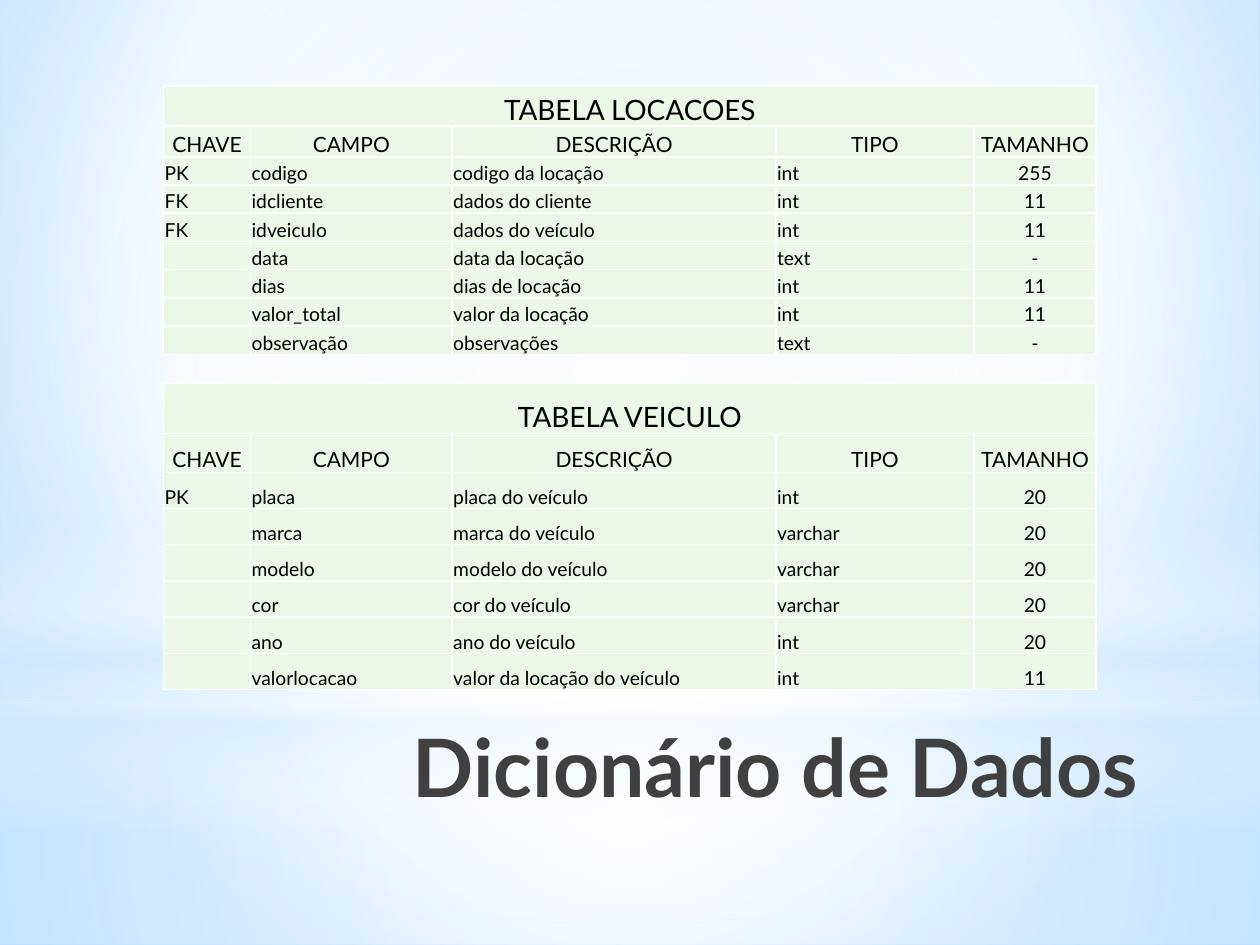
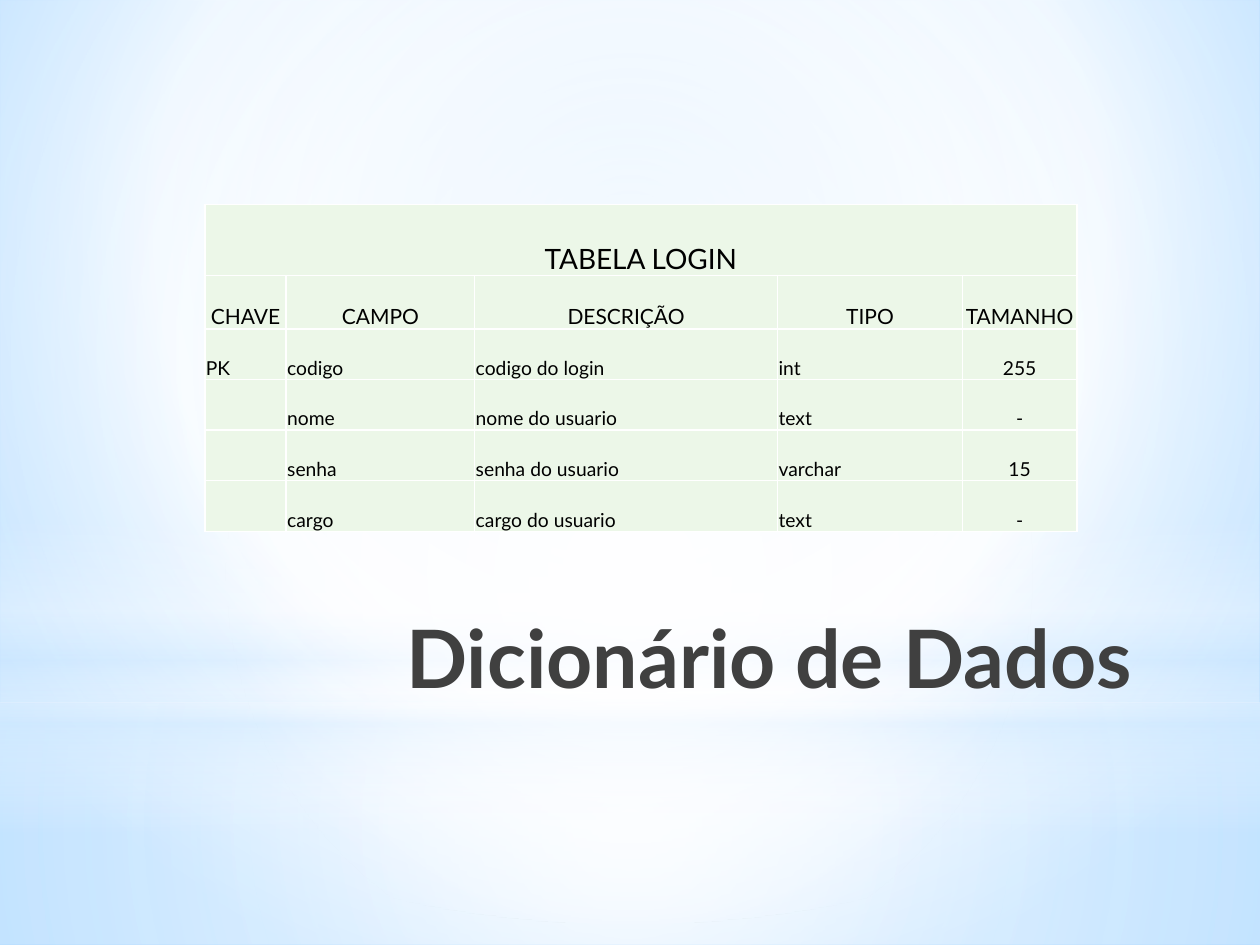
"""Build the two data dictionary slides of the rental system."""
from dataclasses import dataclass
from typing import Any, NamedTuple

import lxml.etree
import pptx
import pptx.dml.color
import pptx.dml.fill
import pptx.enum.shapes
import pptx.enum.text
import pptx.oxml.ns
import pptx.slide
import pptx.util

Cm = pptx.util.Cm
Pt = pptx.util.Pt
qn = pptx.oxml.ns.qn
SHAPE = pptx.enum.shapes.MSO_SHAPE
ALIGN = pptx.enum.text.PP_ALIGN
ANCHOR = pptx.enum.text.MSO_ANCHOR

COLORS = {
    "white": "FFFFFF",
    "pale": "D6ECFF",
    "sky": "C2E3FF",
    "blue": "79C1FF",
    "mint": "ECF7E8",
    "ink": "000000",
    "title": "404040",
}
FONT = "Lato"
SLIDE_WIDTH, SLIDE_HEIGHT = 25.4, 19.05
HORIZON = 14.17
CENTER = (50, 50, 50, 50)
HEADINGS = ("CHAVE", "CAMPO", "DESCRIÇÃO", "TIPO", "TAMANHO")
COLUMN_WEIGHTS = (0.69, 1.6, 2.57, 1.57, 0.97)
CELL_FORMAT = {
    "vertical_anchor": ANCHOR.BOTTOM,
    "margin_left": Cm(0.02),
    "margin_right": Cm(0.02),
    "margin_top": Cm(0.02),
    "margin_bottom": 0,
}
TITLE_FORMAT = {
    "word_wrap": True,
    "vertical_anchor": ANCHOR.TOP,
}


class Stop(NamedTuple):
    position: int
    color: str
    opacity: int = 100


@dataclass(frozen=True)
class Gradient:
    stops: tuple[Stop, ...]
    focus: tuple[int, int, int, int] | None = None


@dataclass(frozen=True)
class Glow:
    kind: Any
    top: float
    height: float
    gradient: Gradient


@dataclass(frozen=True)
class Entity:
    title: str
    left: float
    top: float
    width: float
    row_heights: tuple[float, float, float]
    fields: tuple[tuple[str, str, str, str, str], ...]


@dataclass(frozen=True)
class Page:
    title_left: float
    title_top: float
    entities: tuple[Entity, ...]


BACKDROP = Gradient(
    (Stop(0, "sky"), Stop(60, "white"), Stop(100, "blue")), (20, 10, 20, 60))
GLOWS = (
    Glow(SHAPE.RECTANGLE, HORIZON, SLIDE_HEIGHT - HORIZON, Gradient(
        (Stop(0, "white", 91), Stop(37, "white", 76), Stop(100, "pale", 79)), CENTER)),
    Glow(SHAPE.RECTANGLE, 0, HORIZON, Gradient(
        (Stop(0, "white", 89), Stop(48, "white", 62), Stop(100, "pale", 79)), CENTER)),
    Glow(SHAPE.RECTANGLE, 10.46, 6.35, Gradient(
        (Stop(0, "white", 0), Stop(29, "white", 30), Stop(45, "pale", 40),
         Stop(55, "white", 26), Stop(65, "pale", 60), Stop(100, "white", 0)))),
    Glow(SHAPE.OVAL, 4.45, HORIZON, Gradient(
        (Stop(0, "white"), Stop(56, "white", 0)), CENTER)),
)

RENTALS = Entity("TABELA LOCACOES", 3.3, 1.73, 18.8, (0.81, 0.62, 0.57), (
    ("PK", "codigo", "codigo da locação", "int", "255"),
    ("FK", "idcliente", "dados do cliente", "int", "11"),
    ("FK", "idveiculo", "dados do veículo", "int", "11"),
    ("", "data", "data da locação", "text", "-"),
    ("", "dias", "dias de locação", "int", "11"),
    ("", "valor_total", "valor da locação", "int", "11"),
    ("", "observação", "observações", "text", "-"),
))
VEHICLES = Entity("TABELA VEICULO", 3.3, 7.72, 18.8, (1.02, 0.78, 0.73), (
    ("PK", "placa", "placa do veículo", "int", "20"),
    ("", "marca", "marca do veículo", "varchar", "20"),
    ("", "modelo", "modelo do veículo", "varchar", "20"),
    ("", "cor", "cor do veículo", "varchar", "20"),
    ("", "ano", "ano do veículo", "int", "20"),
    ("", "valorlocacao", "valor da locação do veículo", "int", "11"),
))
LOGINS = Entity("TABELA LOGIN", 4.13, 4.12, 17.58, (1.43, 1.08, 1.02), (
    ("PK", "codigo", "codigo do login", "int", "255"),
    ("", "nome", "nome do usuario", "text", "-"),
    ("", "senha", "senha do usuario", "varchar", "15"),
    ("", "cargo", "cargo do usuario", "text", "-"),
))
PAGES = (
    Page(5.11, 14.33, (RENTALS, VEHICLES)),
    Page(4.98, 12.14, (LOGINS,)),
)


def rgb(name: str) -> pptx.dml.color.RGBColor:
    """Return the named colour."""
    return pptx.dml.color.RGBColor.from_string(COLORS[name])


def apply_format(target: Any, values: dict[str, Any]) -> None:
    """Set each format value on the target."""
    for name, value in values.items():
        setattr(target, name, value)


def add_node(parent: Any, tag: str, **attributes: Any) -> Any:
    """Append a DrawingML element to its parent."""
    texts = {name: str(value) for name, value in attributes.items()}
    return lxml.etree.SubElement(parent, qn(f"a:{tag}"), texts)


def paint_gradient(fill: pptx.dml.fill.FillFormat, owner: Any, gradient: Gradient) -> None:
    """Fill the owner with a radial or a downward gradient."""
    fill.gradient()
    blend = next(owner.iter(qn("a:gradFill")))
    blend.clear()
    blend.set("rotWithShape", "1")
    stops = add_node(blend, "gsLst")
    for stop in gradient.stops:
        mark = add_node(stops, "gs", pos=stop.position * 1000)
        tint = add_node(mark, "srgbClr", val=COLORS[stop.color])
        if stop.opacity < 100:
            add_node(tint, "alpha", val=stop.opacity * 1000)
    if gradient.focus is None:
        add_node(blend, "lin", ang=90 * 60000, scaled=0)
    else:
        radial = add_node(blend, "path", path="circle")
        sides = {side: inset * 1000 for side, inset in zip("ltrb", gradient.focus)}
        add_node(radial, "fillToRect", **sides)


def draw_backdrop(slide: pptx.slide.Slide) -> None:
    """Paint the background and the glows over it."""
    paint_gradient(slide.background.fill, slide.element, BACKDROP)
    for glow in GLOWS:
        light = slide.shapes.add_shape(
            glow.kind, 0, Cm(glow.top), Cm(SLIDE_WIDTH), Cm(glow.height))
        light.shadow.inherit = False
        light.line.fill.background()
        paint_gradient(light.fill, light.element, glow.gradient)


def write_text(paragraph: Any, text: str, size: int, color: str,
               align: Any, bold: bool = False) -> None:
    """Write one formatted run into the paragraph."""
    paragraph.alignment = align
    run = paragraph.add_run()
    run.text = text
    apply_format(run.font, {"name": FONT, "size": Pt(size), "bold": bold})
    run.font.color.rgb = rgb(color)


def draw_title(slide: pptx.slide.Slide, page: Page) -> None:
    """Add the slide title."""
    heading = slide.shapes.add_textbox(
        Cm(page.title_left), Cm(page.title_top), Cm(18.08), Cm(3.18))
    apply_format(heading.text_frame, TITLE_FORMAT)
    write_text(heading.text_frame.paragraphs[0], "Dicionário de Dados", 46,
               "title", ALIGN.RIGHT, True)


def fill_cell(cell: Any, text: str, size: int, align: Any) -> None:
    """Style one table cell and write its text."""
    apply_format(cell, CELL_FORMAT)
    properties = cell._tc.get_or_add_tcPr()
    for side in "LRTB":
        border = add_node(properties, f"ln{side}", w=Pt(1))
        add_node(add_node(border, "solidFill"), "srgbClr", val=COLORS["white"])
    cell.fill.solid()
    cell.fill.fore_color.rgb = rgb("mint")
    paragraph = cell.text_frame.paragraphs[0]
    if text:
        write_text(paragraph, text, size, "ink", align)
    else:
        add_node(paragraph._p, "endParaRPr", sz=size * 100)


def draw_entity(slide: pptx.slide.Slide, entity: Entity) -> None:
    """Add the table that describes one entity."""
    title_height, heading_height, field_height = entity.row_heights
    heights = [title_height, heading_height] + [field_height] * len(entity.fields)
    blanks = ("",) * (len(HEADINGS) - 1)
    lines = ((entity.title, *blanks), HEADINGS, *entity.fields)
    grid = slide.shapes.add_table(
        len(lines), len(HEADINGS), Cm(entity.left), Cm(entity.top),
        Cm(entity.width), Cm(sum(heights))).table
    apply_format(grid, {"first_row": False, "horz_banding": False})
    for column, weight in zip(grid.columns, COLUMN_WEIGHTS):
        column.width = Cm(entity.width * weight / sum(COLUMN_WEIGHTS))
    for row, height in zip(grid.rows, heights):
        row.height = Cm(height)
    for row_index, line in enumerate(lines):
        size = {0: 16, 1: 12}.get(row_index, 11)
        for column_index, text in enumerate(line):
            centered = row_index < 2 or column_index == len(HEADINGS) - 1
            fill_cell(grid.cell(row_index, column_index), text, size,
                      ALIGN.CENTER if centered else ALIGN.LEFT)
    grid.cell(0, 0).merge(grid.cell(0, len(HEADINGS) - 1))


def main() -> None:
    """Build and save the presentation."""
    deck = pptx.Presentation()
    apply_format(deck, {"slide_width": Cm(SLIDE_WIDTH), "slide_height": Cm(SLIDE_HEIGHT)})
    for page in PAGES:
        slide = deck.slides.add_slide(deck.slide_layouts[6])
        draw_backdrop(slide)
        draw_title(slide, page)
        for entity in page.entities:
            draw_entity(slide, entity)
    deck.save("out.pptx")


if __name__ == "__main__":
    main()
